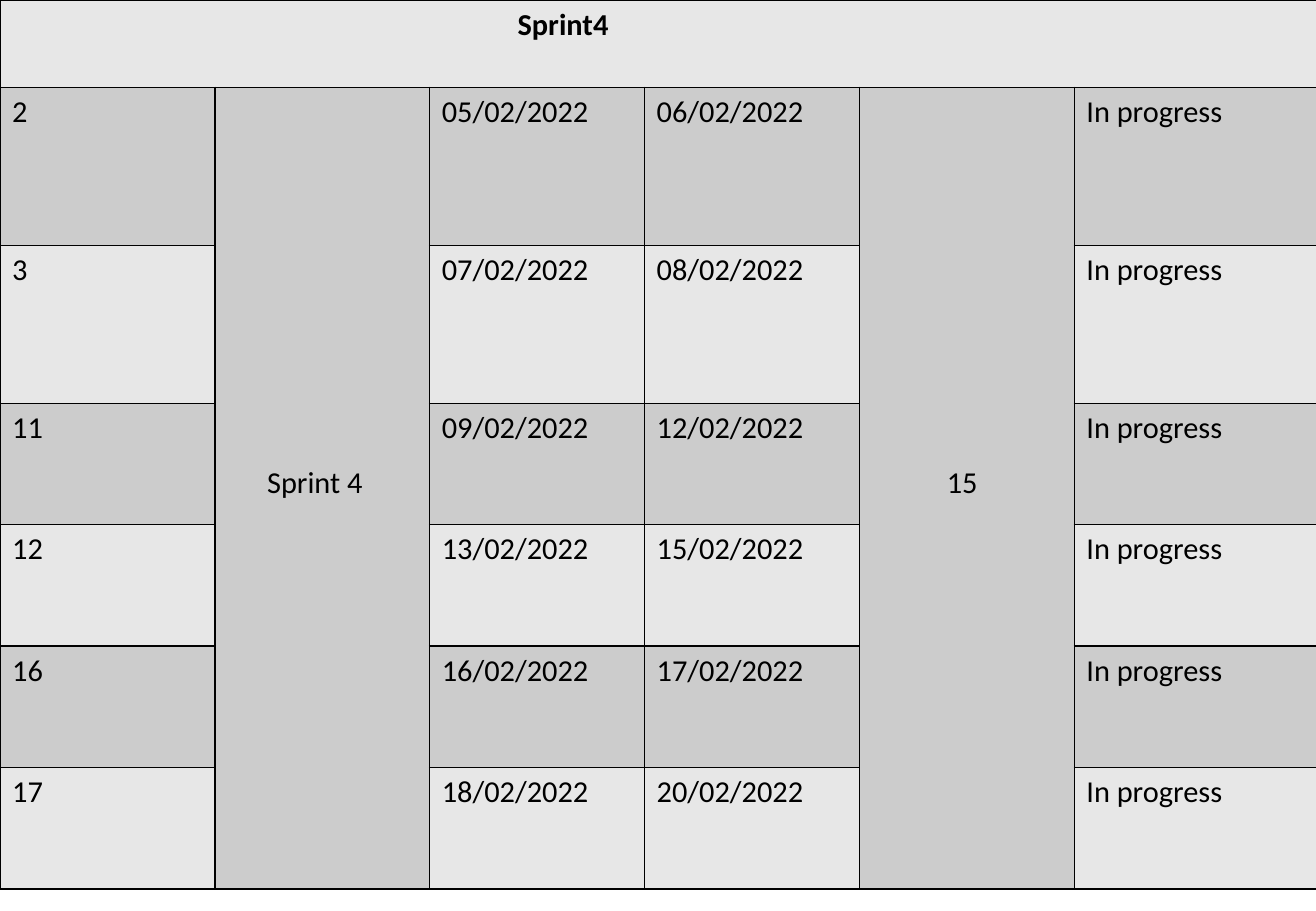
from dataclasses import dataclass

from lxml.etree import SubElement
from pptx import Presentation
from pptx.dml.color import RGBColor
from pptx.enum.text import MSO_ANCHOR
from pptx.oxml.ns import qn
from pptx.util import Inches, Pt


@dataclass(frozen=True)
class Theme:
    """Colours and type of the sprint table."""
    font: str = "Calibri"
    size: int = 18
    ink: str = "000000"
    light: str = "E7E7E7"
    dark: str = "CCCCCC"
    border: int = 1


THEME = Theme()
ROW_HEIGHTS = [0.72, 1.3, 1.3, 1, 1, 1, 1]
STATUS = "In progress"
STORIES = [
    ("2", "05/02/2022", "06/02/2022"),
    ("3", "07/02/2022", "08/02/2022"),
    ("11", "09/02/2022", "12/02/2022"),
    ("12", "13/02/2022", "15/02/2022"),
    ("16", "16/02/2022", "17/02/2022"),
    ("17", "18/02/2022", "20/02/2022"),
]
STORY_COLUMNS = (0, 2, 3, 5)
SPRINT_COLUMN, POINTS_COLUMN = 1, 4


def add_borders(cell):
    """Draw a solid line on each side of a cell."""
    properties = cell._tc.get_or_add_tcPr()
    for side in ("a:lnL", "a:lnR", "a:lnT", "a:lnB"):
        line = SubElement(properties, qn(side), w=str(Pt(THEME.border)))
        fill = SubElement(line, qn("a:solidFill"))
        SubElement(fill, qn("a:srgbClr"), val=THEME.ink)


def write(cell, text, bold=False, indent=0.1):
    """Put one run of text in a cell, indented from its left edge."""
    cell.margin_left = Inches(indent)
    run = cell.text_frame.paragraphs[0].add_run()
    run.text = text
    run.font.name = THEME.font
    run.font.size = Pt(THEME.size)
    run.font.bold = bold
    run.font.color.rgb = RGBColor.from_string(THEME.ink)


def write_merged(table, column, text, indent):
    """Merge a column below the heading and write its text mid-height."""
    cell = table.cell(1, column)
    cell.merge(table.cell(len(STORIES), column))
    cell.vertical_anchor = MSO_ANCHOR.MIDDLE
    cell.margin_bottom = Inches(0.14)
    write(cell, text, indent=indent)


def add_grid(slide):
    """Add the bordered table with alternating row fills."""
    table = slide.shapes.add_table(
        len(ROW_HEIGHTS), 6, 0, 0, Inches(10.61), Inches(sum(ROW_HEIGHTS))
    ).table
    table.first_row = table.horz_banding = False
    for index, height in enumerate(ROW_HEIGHTS):
        table.rows[index].height = Inches(height)
        for column, cell in enumerate(table.rows[index].cells):
            merged = index and column in (SPRINT_COLUMN, POINTS_COLUMN)
            colour = THEME.dark if merged or index % 2 else THEME.light
            add_borders(cell)
            cell.fill.solid()
            cell.fill.fore_color.rgb = RGBColor.from_string(colour)
            cell.text_frame.paragraphs[0].font.size = Pt(THEME.size)
    return table


def main():
    """Build the sprint slide and save it."""
    deck = Presentation()
    deck.slide_width, deck.slide_height = Inches(10.83), Inches(7.5)
    slide = deck.slides.add_slide(deck.slide_layouts[6])
    table = add_grid(slide)
    heading = table.cell(0, 0)
    heading.merge(table.cell(0, 5))
    write(heading, "Sprint4", bold=True, indent=4.26)
    write_merged(table, SPRINT_COLUMN, "Sprint 4", 0.43)
    write_merged(table, POINTS_COLUMN, "15", 0.72)
    for row, story in enumerate(STORIES, start=1):
        for column, text in zip(STORY_COLUMNS, (*story, STATUS)):
            write(table.cell(row, column), text)
    deck.save("out.pptx")


if __name__ == "__main__":
    main()
